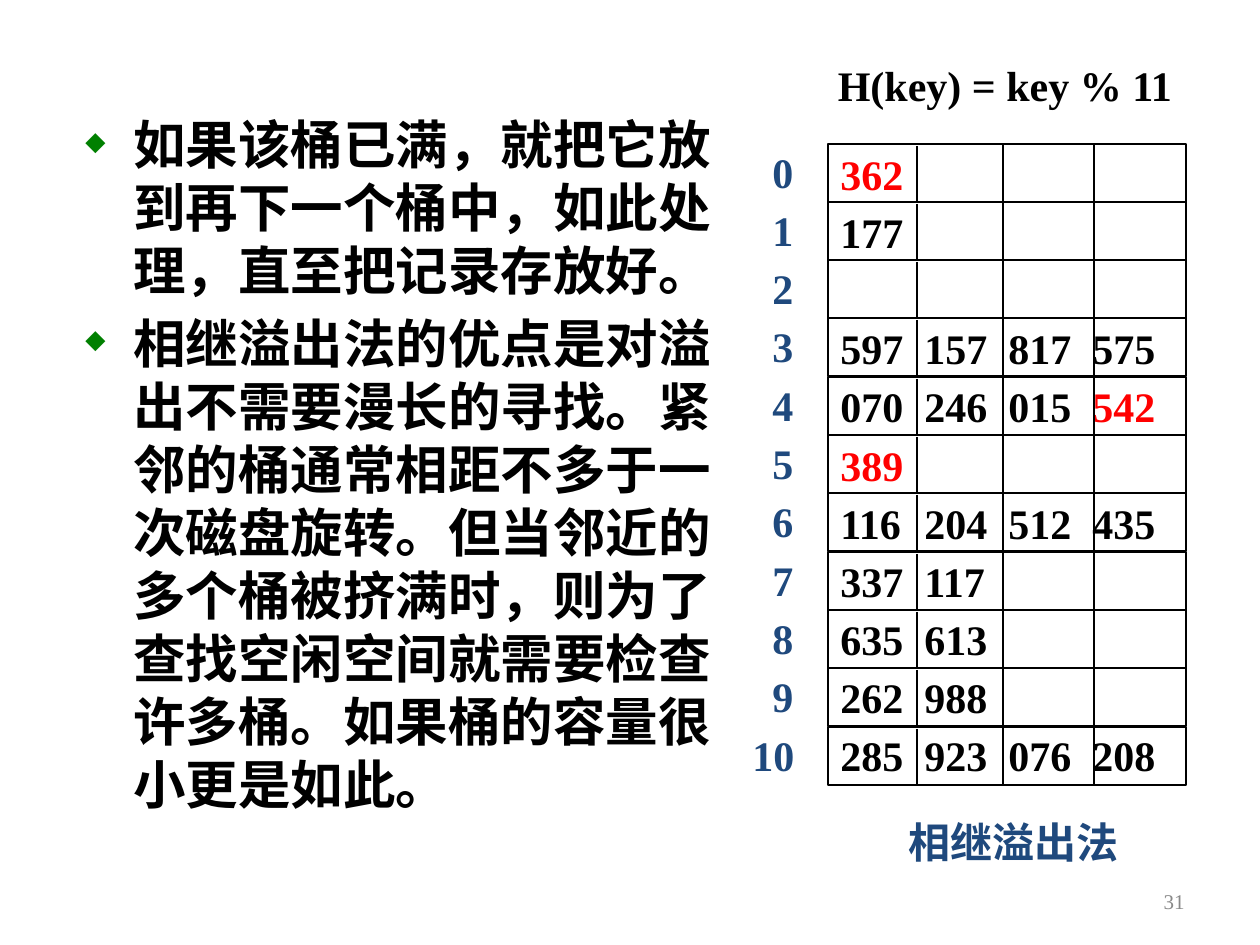
from dataclasses import dataclass

from lxml.etree import SubElement
from pptx import Presentation
from pptx.dml.color import RGBColor
from pptx.enum.shapes import MSO_CONNECTOR as Conn, MSO_SHAPE as Shape
from pptx.enum.text import MSO_ANCHOR as Anchor, PP_ALIGN as Align
from pptx.oxml.ns import qn
from pptx.util import Emu, Pt

PX = 914400 // 126


@dataclass(frozen=True)
class Theme:
    black: str = "000000"
    red: str = "FF0000"
    blue: str = "1F497D"
    green: str = "008000"
    grey: str = "898989"
    serif: str = "Times New Roman"
    sans: str = "Calibri"
    mono: str = "Courier New"
    body: int = 30
    label: int = 24
    number: int = 12
    line: float = 0.75


@dataclass(frozen=True)
class Box:
    x: int
    y: int
    w: int
    h: int

    def emu(self) -> list[Emu]:
        return [px(n) for n in (self.x, self.y, self.w, self.h)]


@dataclass(frozen=True)
class Bucket:
    keys: tuple[str, ...] = ()
    overflow: tuple[str, ...] = ()  # keys that spilled over, shown in red


T = Theme()

POINTS = (
    ("如果该桶已满，就把它放到再下一个桶中，如此处理，直至把记录存放好。", T.serif),
    ("相继溢出法的优点是对溢出不需要漫长的寻找。紧邻的桶通常相距不多于一次磁盘旋转。"
     "但当邻近的多个桶被挤满时，则为了查找空闲空间就需要检查许多桶。"
     "如果桶的容量很小更是如此。", T.sans),
)
BUCKETS = (
    Bucket(overflow=("362",)),
    Bucket(("177",)),
    Bucket(),
    Bucket(("597", "157", "817", "575")),
    Bucket(("070", "246", "015"), ("542",)),
    Bucket(overflow=("389",)),
    Bucket(("116", "204", "512", "435")),
    Bucket(("337", "117")),
    Bucket(("635", "613")),
    Bucket(("262", "988")),
    Bucket(("285", "923", "076", "208")),
)
GRID = Box(828, 144, 358, 641)
ROW_H = 58
DIVIDERS = ((917, 2), (1003, 0), (1094, 0))  # x and gap below the row's top
KEY_STEP = 84
KEY_GAP = 1.6  # points between lines of keys
KEY_PITCH = 33.15  # points from one line of keys to the next


def px(n: int) -> Emu:
    return Emu(n * PX)


def style(font, size: int, color: str, name: str = T.serif, bold: bool = True) -> None:
    font.size, font.name, font.bold = Pt(size), name, bold
    font.color.rgb = RGBColor.from_string(color)


def add_frame(s, box: Box):
    tf = s.shapes.add_textbox(*box.emu()).text_frame
    tf.word_wrap = True
    return tf


def add_label(s, box: Box, text: str, color: str, align: Align = Align.LEFT,
              name: str = T.serif, size: int = T.label, bold: bool = True):
    tf = add_frame(s, box)
    tf.text = text
    p = tf.paragraphs[0]
    p.alignment = align
    style(p.runs[0].font, size, color, name, bold)
    return tf


def add_bullet(p) -> None:
    pPr = p._p.get_or_add_pPr()
    pPr.set("marL", str(px(48)))
    pPr.set("indent", str(-px(48)))
    SubElement(SubElement(pPr, qn("a:buClr")), qn("a:srgbClr"), val=T.green)
    SubElement(pPr, qn("a:buSzPct"), val="50000")
    SubElement(pPr, qn("a:buChar"), char="◆")


def add_points(s) -> None:
    tf = add_frame(s, Box(73, 106, 656, 753))
    for i, (text, name) in enumerate(POINTS):
        p = tf.add_paragraph() if i else tf.paragraphs[0]
        add_bullet(p)
        p.text = text
        if i:
            p.space_before = Pt(5.6)
        style(p.runs[0].font, T.body, T.black, name)


def add_key_tabs(p) -> None:
    tabs = SubElement(p._p.get_or_add_pPr(), qn("a:tabLst"))
    for i in range(1, len(DIVIDERS) + 1):
        SubElement(tabs, qn("a:tab"), pos=str(px(i * KEY_STEP)), algn="l")


def add_keys(s) -> None:
    tf = add_frame(s, Box(GRID.x, 137, 403, 698))
    last = None
    for row, bucket in enumerate(BUCKETS):
        keys = bucket.keys + bucket.overflow
        if not keys:
            continue
        p = tf.paragraphs[0] if last is None else tf.add_paragraph()
        add_key_tabs(p)
        p.line_spacing = 1.1
        if last is not None:  # an empty bucket leaves a line open
            p.space_before = Pt(round(KEY_GAP + (row - last - 1) * KEY_PITCH, 2))
        for i, key in enumerate(keys):
            r = p.add_run()
            r.text = f"\t{key}" if i else key
            style(r.font, T.label, T.red if key in bucket.overflow else T.black)
        last = row


def add_line(s, x: int, top: int, bottom: int) -> None:
    line = s.shapes.add_connector(Conn.STRAIGHT, px(x), px(top), px(x), px(bottom))
    line.line.color.rgb = RGBColor.from_string(T.black)
    line.line.width = Pt(T.line)
    SubElement(line._element.spPr, qn("a:effectLst"))


def add_bucket_row(s, row: int) -> None:
    top = GRID.y + row * (GRID.h - ROW_H) // (len(BUCKETS) - 1)
    sp = s.shapes.add_shape(Shape.RECTANGLE, *Box(GRID.x, top, GRID.w, ROW_H).emu())
    sp.shadow.inherit = False
    sp.fill.background()
    sp.line.color.rgb = RGBColor.from_string(T.black)
    sp.line.width = Pt(T.line)
    for x, gap in DIVIDERS:
        add_line(s, x, top + gap, top + ROW_H)
    x, w = (760, 81) if row < 10 else (740, 96)
    add_label(s, Box(x, top - 4, w, 82), str(row), T.blue)


def main() -> None:
    prs = Presentation()
    prs.slide_width, prs.slide_height = px(1260), px(945)
    s = prs.slides.add_slide(prs.slide_layouts[6])

    # Explanation and slide number
    add_points(s)
    tf = add_label(s, Box(903, 876, 294, 50), "31", T.grey, Align.RIGHT,
                   size=T.number, bold=False)
    tf.vertical_anchor = Anchor.MIDDLE

    # Hash table with its heading and caption
    add_keys(s)
    for row in range(len(BUCKETS)):
        add_bucket_row(s, row)
    add_label(s, Box(824, 53, 362, 63), "H(key) = key % 11", T.black, Align.CENTER)
    add_label(s, Box(834, 810, 359, 79), "相继溢出法", T.blue, Align.CENTER, T.mono)

    prs.save("out.pptx")


if __name__ == "__main__":
    main()
